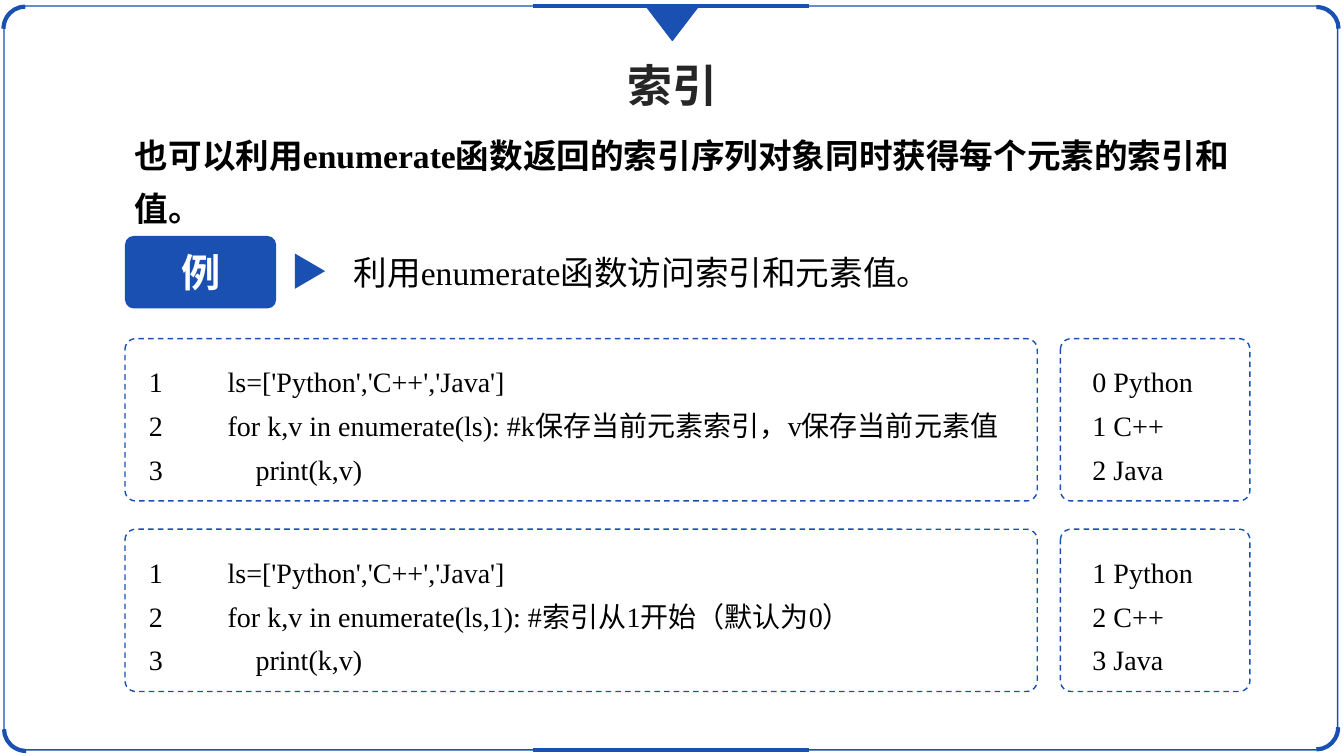
from pptx import Presentation
from pptx.dml.color import RGBColor
from pptx.enum.dml import MSO_LINE
from pptx.enum.shapes import MSO_CONNECTOR, MSO_SHAPE
from pptx.enum.text import MSO_ANCHOR, PP_ALIGN
from pptx.oxml.ns import qn
from pptx.util import Inches, Pt
from lxml.etree import SubElement

W, H = 40 / 3, 7.5
COLORS = {"blue": "1950B2", "title": "262626", "black": "000000", "white": "FFFFFF"}
CODE = {"size": 20, "line_spacing": 1.3, "indent": 0.22}
TAB = str(Inches(1))

prs = Presentation()
prs.slide_width, prs.slide_height = Inches(W), Inches(H)
s = prs.slides.add_slide(prs.slide_layouts[6])
blue = RGBColor.from_string(COLORS["blue"])

# Default tab distance
for level in prs.element.iter(qn("a:lvl1pPr")):
    level.set("defTabSz", TAB)


def add_shape(kind, box, fill=False, line=0, dash=False, adj=None, rot=0):
    sp = s.shapes.add_shape(kind, *map(Inches, box))
    sp.shadow.inherit = False
    sp.rotation = rot
    if adj is not None:
        sp.adjustments[0] = adj
    if fill:
        sp.fill.solid()
        sp.fill.fore_color.rgb = blue
    else:
        sp.fill.background()
    if line:
        sp.line.color.rgb = blue
        sp.line.width = Pt(line)
        if dash:
            sp.line.dash_style = MSO_LINE.DASH
    else:
        sp.line.fill.background()
    return sp


def add_text(box, lines, size=24, color="black", bold=False, wrap=True,
             anchor=MSO_ANCHOR.TOP, align=PP_ALIGN.LEFT, line_spacing=None, indent=0):
    tf = s.shapes.add_textbox(*map(Inches, box)).text_frame
    tf.word_wrap, tf.vertical_anchor = wrap, anchor
    for i, line in enumerate(lines):
        p = tf.paragraphs[0] if i == 0 else tf.add_paragraph()
        p.alignment = align
        if line_spacing:
            p.line_spacing = line_spacing
        if indent:
            pPr = p._p.get_or_add_pPr()
            for name, value in {"marL": "0", "indent": str(Inches(indent)), "defTabSz": TAB}.items():
                pPr.set(name, value)
        r = p.add_run()
        r.text = line
        font = {"name": "Times New Roman", "size": Pt(size), "bold": bold}
        for name, value in font.items():
            setattr(r.font, name, value)
        r.font.color.rgb = RGBColor.from_string(COLORS[color])


# Frame with heavier corners
add_shape(MSO_SHAPE.ROUNDED_RECTANGLE, (0.04, 0.06, 13.23, 7.38), line=1, adj=0.029)
for x, y, rot in [(0.03, 0.07, 270), (0.04, 7.02, 180), (12.84, 0.07, 0), (12.84, 7, 90)]:
    add_shape(MSO_SHAPE.ARC, (x, y, 0.44, 0.43), line=3, rot=rot)

# Bars at the middle of the top and bottom edges
for y in (0.06, H - 0.06):
    bar = s.shapes.add_connector(MSO_CONNECTOR.STRAIGHT, *map(Inches, (5.29, y, 8.03, y)))
    bar.line.color.rgb = blue
    bar.line.width = Pt(3)
    SubElement(bar._element.spPr, qn("a:effectLst"))
add_shape(MSO_SHAPE.ISOSCELES_TRIANGLE, (6.41, 0.06, 0.52, 0.34), fill=True, line=1, rot=180)

# Title and introduction
add_text((6.12, 0.52, 1.1, 0.64), ["索引"], size=32, color="title", bold=True,
         wrap=False, align=PP_ALIGN.CENTER)
add_text((1.24, 1.19, 11.05, 1.1),
         ["也可以利用enumerate函数返回的索引序列对象同时获得每个元素的索引和值。"],
         bold=True, anchor=MSO_ANCHOR.MIDDLE, line_spacing=1.3)

# Example heading
add_shape(MSO_SHAPE.ROUNDED_RECTANGLE, (1.24, 2.34, 1.5, 0.72), fill=True, adj=0.121)
add_text((1.29, 2.41, 1.4, 0.57), ["例"], size=28, color="white", bold=True,
         anchor=MSO_ANCHOR.MIDDLE, align=PP_ALIGN.CENTER)
add_shape(MSO_SHAPE.ISOSCELES_TRIANGLE, (2.9, 2.54, 0.35, 0.3), fill=True, rot=90)
add_text((3.41, 2.45, 7.48, 0.5), ["利用enumerate函数访问索引和元素值。"],
         anchor=MSO_ANCHOR.MIDDLE)

# Rows of code and output
examples = [
    ("for k,v in enumerate(ls): #k保存当前元素索引，v保存当前元素值", 0),
    ("for k,v in enumerate(ls,1): #索引从1开始（默认为0）", 1),
]
languages = ["Python", "C++", "Java"]
for row, (loop, start) in enumerate(examples):
    top = 3.36 + row * 1.89
    code = ["ls=['Python','C++','Java']", loop, "    print(k,v)"]
    numbered = [f"{n}\t{line}" for n, line in enumerate(code, 1)]
    output = [f"{k} {v}" for k, v in enumerate(languages, start)]
    for x, width, text_x, text_width, lines in [
        (1.24, 9.05, 1.16, 9.53, numbered),
        (10.52, 1.88, 10.52, 2.57, output),
    ]:
        add_shape(MSO_SHAPE.ROUNDED_RECTANGLE, (x, top, width, 1.61),
                  line=1, dash=True, adj=0.066)
        add_text((text_x, top + 0.11, text_width, 1.41), lines, **CODE)

prs.save("out.pptx")
